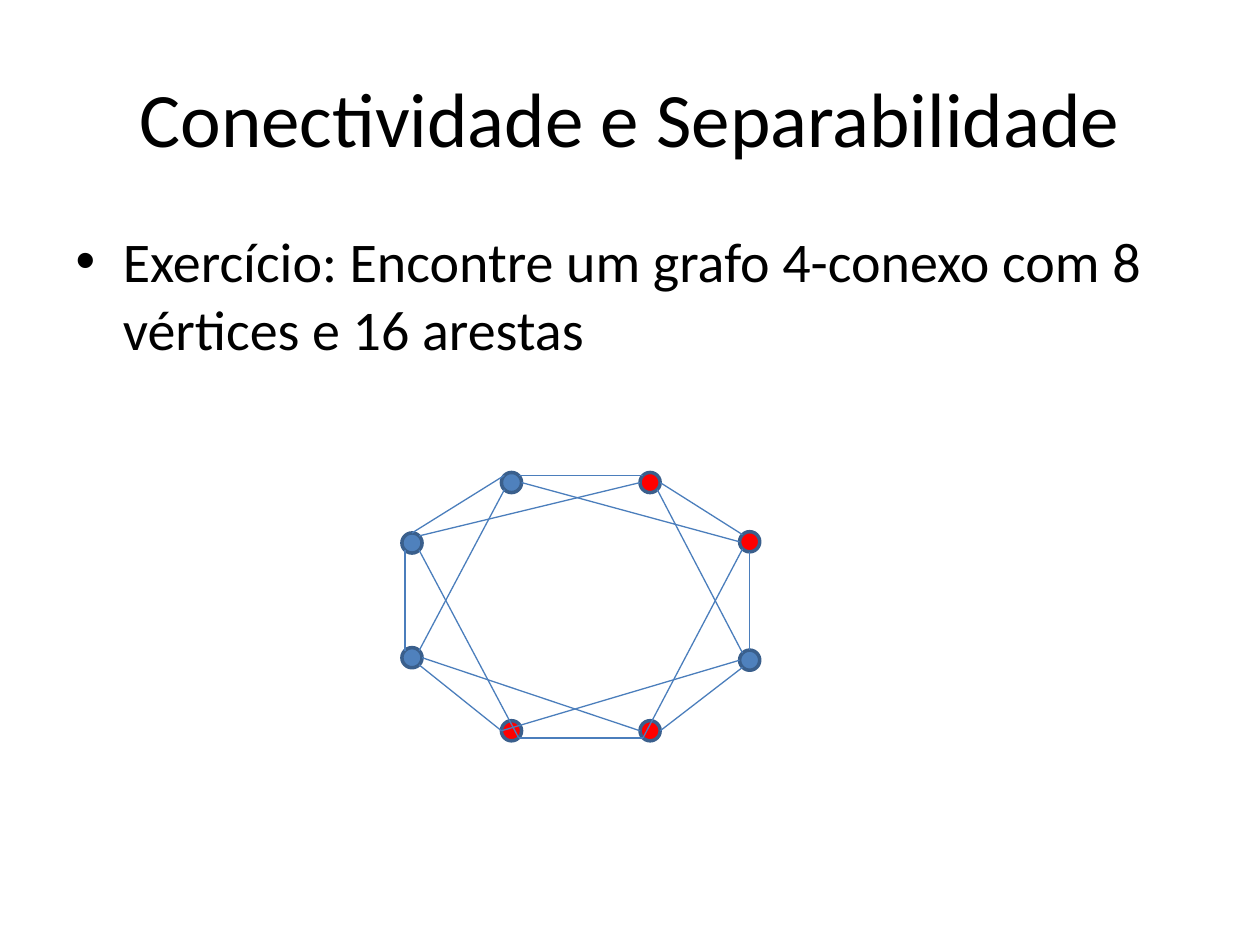
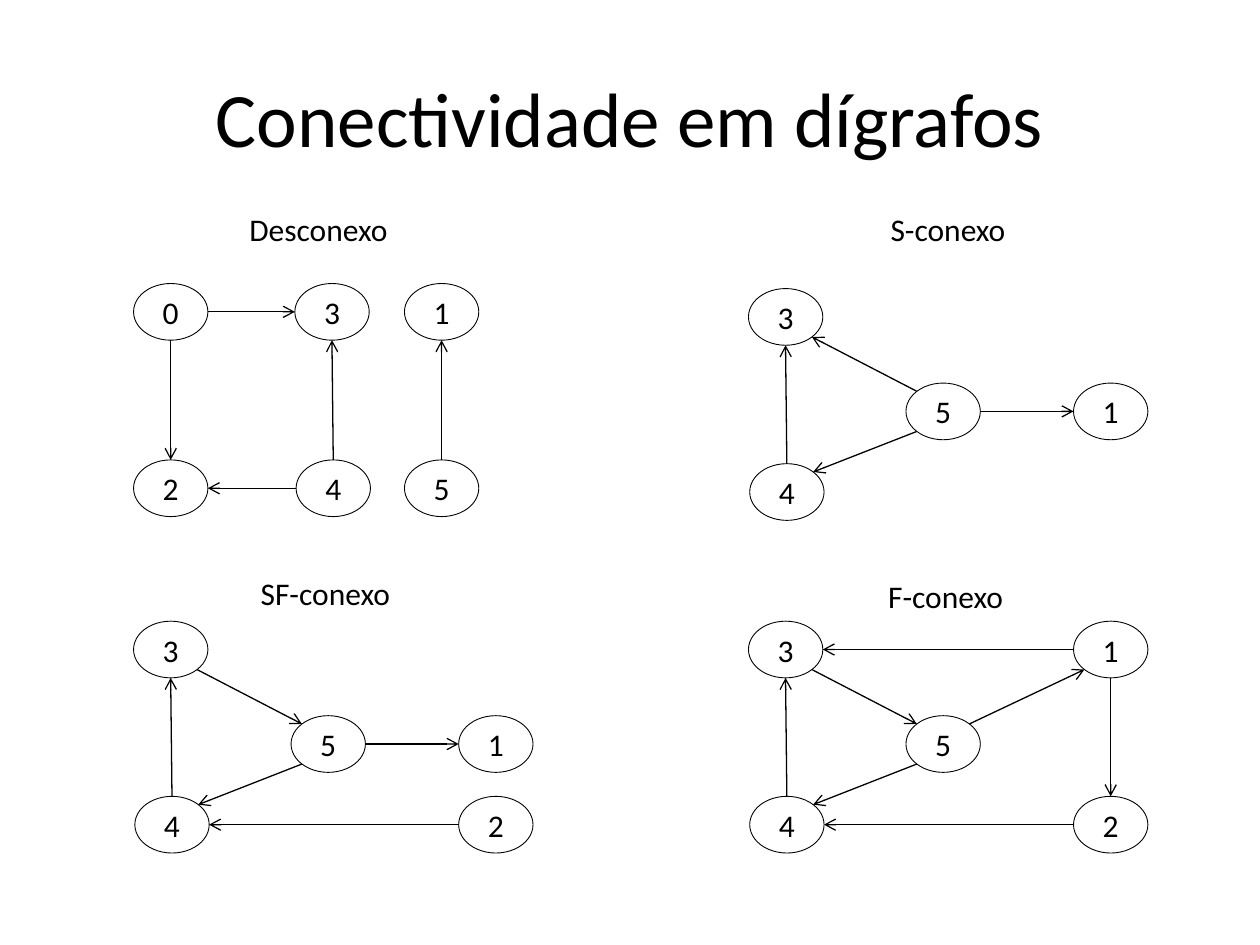
import math
from dataclasses import dataclass

import lxml.etree
import pptx
import pptx.dml.color
import pptx.enum.shapes
import pptx.enum.text
import pptx.oxml.ns
import pptx.util

Inches = pptx.util.Inches
ALIGN = pptx.enum.text.PP_ALIGN
SHAPE = pptx.enum.shapes.MSO_SHAPE


@dataclass(frozen=True)
class Theme:
    font: str = "Calibri"
    title_size: int = 44
    body_size: int = 32
    label_size: int = 18
    black: str = "000000"
    white: str = "FFFFFF"
    blue: str = "4F81BD"
    red: str = "FF0000"
    vertex_line: str = "3A5F8C"
    edge: str = "4B7EBC"
    edge_width: float = 0.75


THEME = Theme()
DOT = (0.16, 0.16)
NODE = (0.59, 0.45)

# Attachment points on an ellipse, as unit offsets from its centre.
DIAG = math.sqrt(0.5)
SITES = {
    "t": (0, -1), "tr": (DIAG, -DIAG), "r": (1, 0), "br": (DIAG, DIAG),
    "b": (0, 1), "bl": (-DIAG, DIAG), "l": (-1, 0), "tl": (-DIAG, -DIAG),
}

# Vertices clockwise from the upper left: position and colour.
VERTICES = [
    (3.98, 3.75, THEME.blue), (5.08, 3.75, THEME.red),
    (5.87, 4.22, THEME.red), (5.87, 5.16, THEME.blue),
    (5.08, 5.72, THEME.red), (3.98, 5.72, THEME.red),
    (3.19, 5.14, THEME.blue), (3.19, 4.23, THEME.blue),
]
NEIGHBOUR_EDGES = ["0tr 1tl", "1r 2tl", "2b 3t", "3bl 4r", "4bl 5br", "5l 6br", "7bl 6tl", "7t 0tl"]
SKIP_EDGES = ["2l 0r", "1br 3tl", "2bl 4bl", "3l 5l", "4l 6r", "5br 7br", "6tr 0bl", "7tr 1l"]

# Node positions are relative to the upper left node of each digraph.
PAIRS = {"0": (0, 0), "3": (1.28, 0), "2": (0, 1.4), "4": (1.29, 1.4), "1": (2.15, 0), "5": (2.15, 1.4)}
TRIANGLE = {"3": (0, 0), "4": (0.01, 1.39), "5": (1.25, 0.75)}
RIGHT = 2.58
DIGRAPHS = [
    ("Desconexo", (1.88, 1.62, 1.31), (1.06, 2.25), PAIRS,
     ["0r 3l", "0b 2t", "4t 3b", "4l 2r", "5t 1b"]),
    ("S-conexo", (6.97, 1.62, 1.12), (5.94, 2.29), {**TRIANGLE, "1": (RIGHT, 0.75)},
     ["4t 3b", "5tl 3br", "5bl 4tr", "5r 1l"]),
    ("SF-conexo", (1.97, 4.51, 1.24), (1.06, 4.93),
     {**TRIANGLE, "1": (RIGHT, 0.75), "2": (RIGHT, 1.39)},
     ["4t 3b", "3br 5tl", "5bl 4tr", "5r 1l", "2l 4r"]),
    ("F-conexo", (6.95, 4.53, 1.12), (5.94, 4.93),
     {**TRIANGLE, "1": (RIGHT, 0), "2": (RIGHT, 1.39)},
     ["4t 3b", "3br 5tl", "5bl 4tr", "5tr 1bl", "1l 3r", "1b 2t", "2l 4r"]),
]


def rgb(color):
    return pptx.dml.color.RGBColor.from_string(color)


def write_text(tf, text, size=THEME.label_size, color=THEME.black, align=None):
    p = tf.paragraphs[0]
    p.alignment = align
    r = p.add_run()
    r.text = text
    r.font.name = THEME.font
    r.font.size = pptx.util.Pt(size)
    r.font.color.rgb = rgb(color)


def place(sp, left, top, width, height):
    sp.left, sp.top, sp.width, sp.height = map(Inches, (left, top, width, height))


def add_titled_slide(prs, layout, title):
    s = prs.slides.add_slide(prs.slide_layouts[layout])
    place(s.shapes.title, 0.5, 0.3, 9, 1.25)
    write_text(s.shapes.title.text_frame, title, size=THEME.title_size, align=ALIGN.CENTER)
    return s


def add_ellipse(s, at, size, fill, line, line_width, text=None):
    sp = s.shapes.add_shape(SHAPE.OVAL, *map(Inches, (*at, *size)))
    sp.shadow.inherit = False
    sp.fill.solid()
    sp.fill.fore_color.rgb = rgb(fill)
    sp.line.color.rgb = rgb(line)
    sp.line.width = pptx.util.Pt(line_width)
    if text:
        sp.text_frame.vertical_anchor = pptx.enum.text.MSO_ANCHOR.MIDDLE
        write_text(sp.text_frame, text, align=ALIGN.CENTER)


def add_line(s, start, end, color, arrow=False):
    line = s.shapes.add_connector(
        pptx.enum.shapes.MSO_CONNECTOR.STRAIGHT, *map(Inches, (*start, *end)))
    line.line.color.rgb = rgb(color)
    line.line.width = pptx.util.Pt(THEME.edge_width)
    qn = pptx.oxml.ns.qn
    sp_pr = line.element.spPr
    if arrow:
        lxml.etree.SubElement(sp_pr.find(qn("a:ln")), qn("a:tailEnd"), type="arrow")
    lxml.etree.SubElement(sp_pr, qn("a:effectLst"))


def add_edges(s, edges, positions, size, color, arrow=False):
    """Draw edges written as 'node+site node+site', such as '4t 3b'."""
    def site_point(end):
        x, y = positions[end[0]]
        dx, dy = SITES[end[1:]]
        return x + size[0] * (1 + dx) / 2, y + size[1] * (1 + dy) / 2

    for edge in edges:
        start, end = map(site_point, edge.split())
        add_line(s, start, end, color, arrow)


def add_label(s, text, left, top, width):
    sp = s.shapes.add_textbox(*map(Inches, (left, top, width, 0.4)))
    sp.text_frame.word_wrap = False
    sp.text_frame.auto_size = pptx.enum.text.MSO_AUTO_SIZE.SHAPE_TO_FIT_TEXT
    write_text(sp.text_frame, text)


def add_digraph(s, name, label_at, origin, offsets, edges):
    positions = {k: (origin[0] + dx, origin[1] + dy) for k, (dx, dy) in offsets.items()}
    for node, at in positions.items():
        add_ellipse(s, at, NODE, THEME.white, THEME.black, 0.5, text=node)
    add_edges(s, edges, positions, NODE, THEME.black, arrow=True)
    add_label(s, name, *label_at)


def build_exercise(prs):
    s = add_titled_slide(prs, 1, "Conectividade e Separabilidade")
    body = s.placeholders[1]
    place(body, 0.5, 1.75, 9, 4.95)
    write_text(body.text_frame, "Exercício: Encontre um grafo 4-conexo com 8 vértices e 16 arestas",
               size=THEME.body_size)
    for x, y, fill in VERTICES:
        add_ellipse(s, (x, y), DOT, fill, THEME.vertex_line, 2)
    positions = {str(i): (x, y) for i, (x, y, _) in enumerate(VERTICES)}
    add_edges(s, NEIGHBOUR_EDGES + SKIP_EDGES, positions, DOT, THEME.edge)


def build_digraphs(prs):
    s = add_titled_slide(prs, 5, "Conectividade em dígrafos")
    for digraph in DIGRAPHS:
        add_digraph(s, *digraph)


def main():
    prs = pptx.Presentation()
    prs.slide_width, prs.slide_height = Inches(10), Inches(7.5)
    build_exercise(prs)
    build_digraphs(prs)
    prs.save("out.pptx")


if __name__ == "__main__":
    main()
